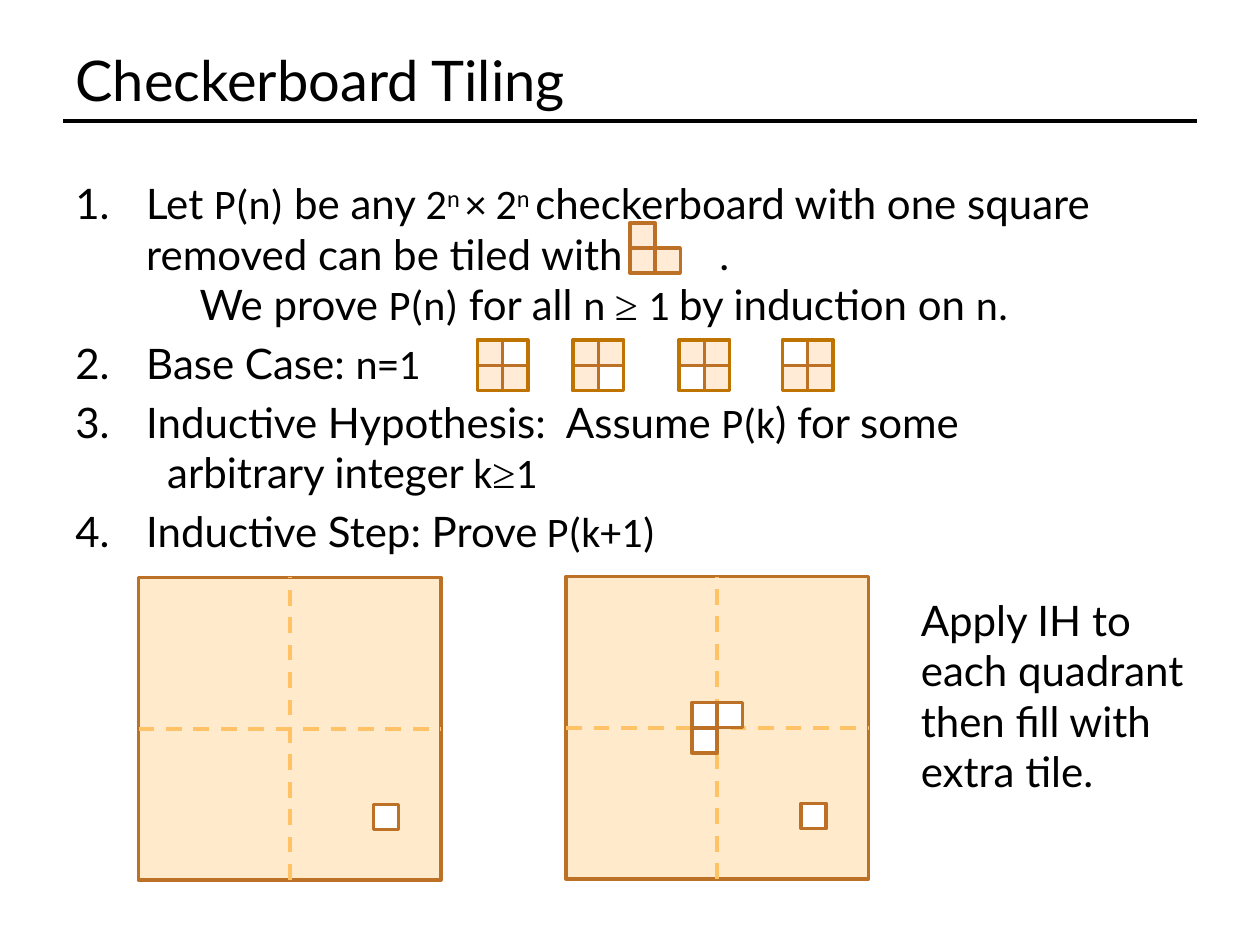
from dataclasses import dataclass
from typing import NamedTuple

from lxml.etree import SubElement
from pptx import Presentation
from pptx.dml.color import RGBColor as Color
from pptx.enum.dml import MSO_LINE_DASH_STYLE as Dash
from pptx.enum.shapes import MSO_CONNECTOR as Conn, MSO_SHAPE as Shape
from pptx.enum.text import MSO_ANCHOR as Anchor
from pptx.oxml.ns import qn
from pptx.util import Pt


@dataclass(frozen=True)
class Theme:
    ink: str = "000000"
    white: str = "FFFFFF"
    tile: str = "FFEBD6"
    board: str = "FFEBCC"
    edge: str = "BD7126"
    frame: str = "BF7300"
    split: str = "FFC266"
    title: float = 32
    body: float = 24
    prose: str = "Lato"
    math: str = "Calibri"
    sign: str = "Times New Roman"


class Run(NamedTuple):
    text: str
    font: str
    raised: bool = False


class Para(NamedTuple):
    runs: list[Run]
    num: int = 0
    left: float = 0
    tab: float = 0


class Case(NamedTuple):
    left: float
    hole: tuple[int, int]


class Board(NamedTuple):
    left: float
    top: float
    extra: bool


THEME = Theme()
UNIT = 14.4
SIDE = 12 * UNIT
HANG = 40.5
GAP = THEME.body * 0.2
CELLS = [(0, 0), (0, 1), (1, 0), (1, 1)]


def say(text: str) -> Run:
    return Run(text, THEME.prose)


def math(text: str, raised: bool = False) -> Run:
    return Run(text, THEME.math, raised)


def sign(text: str) -> Run:
    return Run(text, THEME.sign)


STEPS = [
    Para([say("Let "), math("P(n)"), say(" be any "), math("2"), math("n ", True),
          math("× 2"), math("n ", True),
          say("checkerboard with one square removed can be tiled with\t.")],
         num=1, left=HANG, tab=368),
    Para([say("We prove "), math("P(n)"), say(" for all "), math("n "), sign("≥ "),
          math("1 "), say("by induction on "), math("n.")], left=71),
    Para([say("Base Case: "), math("n=1")], num=2, left=HANG),
    Para([say("Inductive Hypothesis:  Assume "), math("P(k"), say(") for some")],
         num=3, left=HANG),
    Para([say("arbitrary integer"), math(" k"), sign("≥"), math("1")], left=52.5),
    Para([say("Inductive Step: Prove"), math(" P(k+1)")], num=4, left=HANG),
]
CASES = [Case(272.9, (1, 0)), Case(327.6, (1, 1)),
         Case(388.1, (0, 1)), Case(447.1, (0, 0))]
BOARDS = [Board(79.2, 330, False), Board(323.5, 329.5, True)]


def indent(para, item: Para) -> None:
    """Set the margin, number and tab stop of a paragraph."""
    props = para._p.get_or_add_pPr()
    props.set("marL", str(Pt(item.left)))
    props.set("indent", str(Pt(-HANG if item.num else 0)))
    if item.num:
        SubElement(props, qn("a:buFont"), typeface=THEME.prose)
        SubElement(props, qn("a:buAutoNum"), type="arabicPeriod",
                   startAt=str(item.num))
    else:
        SubElement(props, qn("a:buNone"))
    if item.tab:
        stops = SubElement(props, qn("a:tabLst"))
        SubElement(stops, qn("a:tab"), pos=str(Pt(item.tab)), algn="l")


def write(shapes, box: tuple, paras: list[Para], *, size: float = THEME.body,
          anchor: Anchor = Anchor.TOP) -> None:
    frame = shapes.add_textbox(*map(Pt, box)).text_frame
    frame.word_wrap = True
    frame.vertical_anchor = anchor
    for i, item in enumerate(paras):
        para = frame.add_paragraph() if i else frame.paragraphs[0]
        indent(para, item)
        para.space_before = Pt(GAP if i and item.num else 0)
        para.font.size = Pt(size)
        for part in item.runs:
            run = para.add_run()
            run.text = part.text
            run.font.name = part.font
            run.font.size = Pt(size)
            run.font.color.rgb = Color.from_string(THEME.ink)
            if part.raised:
                run._r.get_or_add_rPr().set("baseline", "30000")


def square(shapes, left: float, top: float, side: float = UNIT,
           fill: str = "", edge: str = THEME.edge) -> None:
    shape = shapes.add_shape(Shape.RECTANGLE, *map(Pt, (left, top, side, side)))
    shape.shadow.inherit = False
    if fill:
        shape.fill.solid()
        shape.fill.fore_color.rgb = Color.from_string(fill)
    else:
        shape.fill.background()
    shape.line.color.rgb = Color.from_string(edge)
    shape.line.width = Pt(2)


def rule(shapes, start: tuple, end: tuple, hue: str, width: float,
         dash: Dash | None = None) -> None:
    line = shapes.add_connector(Conn.STRAIGHT, *map(Pt, (*start, *end)))
    line.line.color.rgb = Color.from_string(hue)
    line.line.width = Pt(width)
    if dash:
        line.line.dash_style = dash
    SubElement(line._element.spPr, qn("a:effectLst"))


def tromino(shapes, left: float, top: float, hole: tuple, fill: str) -> None:
    """Draw the three cells of a 2 by 2 block that are not the hole."""
    for col, row in CELLS:
        if (col, row) != hole:
            square(shapes, left + col * UNIT, top + row * UNIT, fill=fill)


def draw_case(slide, case: Case, top: float) -> None:
    group = slide.shapes.add_group_shape().shapes
    tromino(group, case.left, top, case.hole, THEME.tile)
    square(group, case.left, top, 2 * UNIT, edge=THEME.frame)


def draw_board(slide, board: Board) -> None:
    group = slide.shapes.add_group_shape().shapes
    left, top, extra = board
    midx, midy = left + SIDE / 2, top + SIDE / 2
    square(group, left, top, SIDE, THEME.board)
    square(group, left + 134.2, top + 9 * UNIT, fill=THEME.white)
    rule(group, (left, midy), (left + SIDE, midy), THEME.split, 2.25, Dash.DASH)
    rule(group, (midx, top + SIDE), (midx, top), THEME.split, 2.25, Dash.DASH)
    if extra:
        tromino(group, midx - UNIT, midy - UNIT, (1, 1), THEME.white)


def main() -> None:
    deck = Presentation()
    deck.slide_width, deck.slide_height = Pt(720), Pt(540)
    slide = deck.slides.add_slide(deck.slide_layouts[6])
    shapes = slide.shapes
    rule(shapes, (36, 69.1), (684, 69.1), THEME.ink, 2)
    write(shapes, (36, 21.6, 648, 47.5), [Para([say("Checkerboard Tiling")])],
          size=THEME.title, anchor=Anchor.MIDDLE)
    write(shapes, (36, 98, 648, 404.6), STEPS)
    tromino(shapes.add_group_shape().shapes, 360, 127.4, (1, 0), THEME.tile)
    for case in CASES:
        draw_case(slide, case, 194.4)
    for board in BOARDS:
        draw_board(slide, board)
    write(shapes, (519.1, 336.2, 179.3, 123.8),
          [Para([say("Apply IH to each quadrant then fill with extra tile.")])])
    deck.save("out.pptx")


if __name__ == "__main__":
    main()
